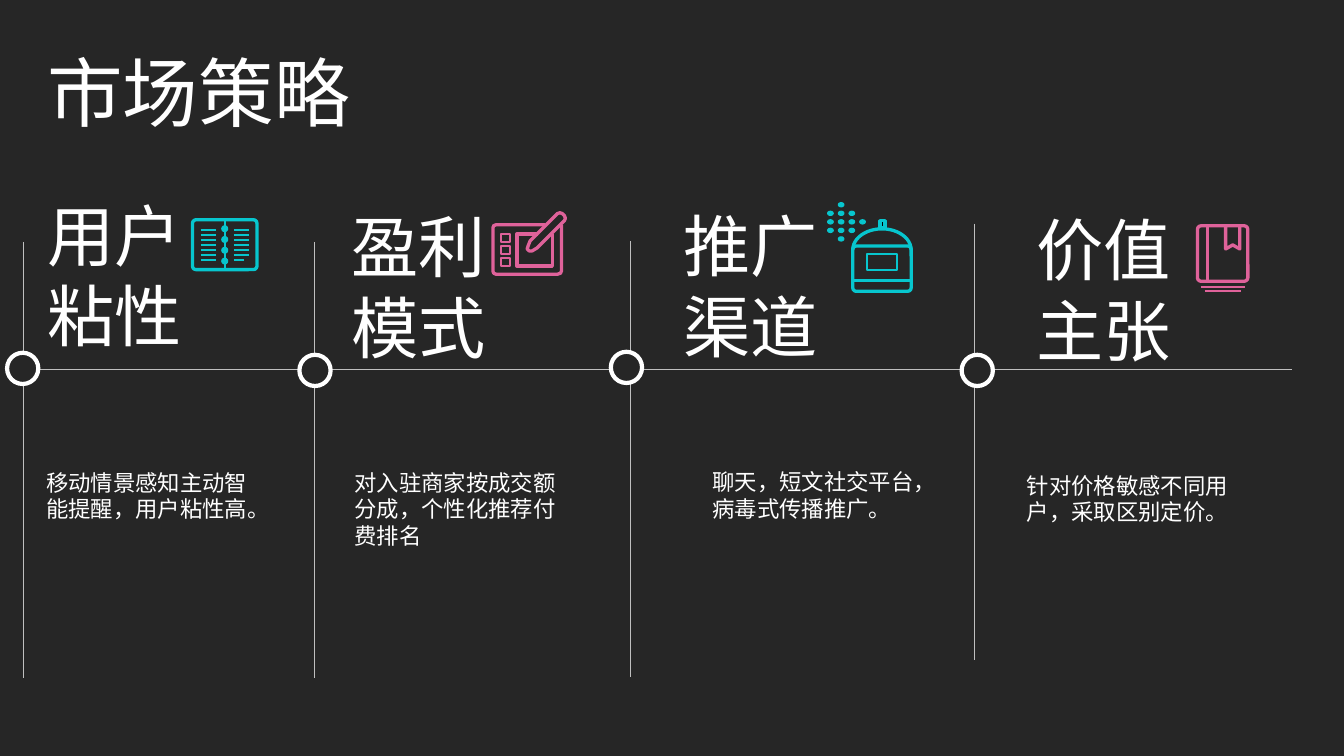
import math
from dataclasses import dataclass
from typing import Any

from lxml import etree
from pptx import Presentation
from pptx import util as u
from pptx.dml import color
from pptx.enum import shapes, text
from pptx.oxml import ns

COLORS = {
    "background": "262626",
    "white": "FFFFFF",
    "axis": "BFBFBF",
    "cyan": "07C6CE",
    "pink": "DF629A",
    "black": "000000",
}
HEADING_FONT = "Noto Sans CJK JP"
BODY_FONT = "Noto Sans CJK SC"
BOLD_LINE, FINE_LINE, DOT_LINE = 2.38, 1.13, 0.75
AXIS_LEFT, AXIS_RIGHT, AXIS_Y = 16.56, 923.04, 263.52
STEM_LENGTH = 311.4
MARKER_SIZE = 22.32

RECTANGLE = shapes.MSO_SHAPE.RECTANGLE
ROUNDED = shapes.MSO_SHAPE.ROUNDED_RECTANGLE
OVAL = shapes.MSO_SHAPE.OVAL


@dataclass
class Box:
    left: float
    top: float
    width: float
    height: float

    def lengths(self) -> tuple:
        return tuple(u.Pt(n) for n in (self.left, self.top, self.width, self.height))


@dataclass
class Strategy:
    heading: str
    body: str
    stem_x: float
    stem_top: float
    marker: tuple[float, float]
    heading_at: tuple[float, float]
    body_at: tuple[float, float]
    body_height: float


STRATEGIES = [
    Strategy("用户\n粘性", "移动情景感知主动智能提醒，用户粘性高。",
             16.56, 172.8, (5.04, 252), (26.64, 135.36), (25.92, 331.2), 65.52),
    Strategy("盈利\n模式", "对入驻商家按成交额分成，个性化推荐付费排名",
             224.64, 172.8, (213.84, 253.44), (244.08, 143.28), (246.24, 331.2), 84.96),
    Strategy("推广\n渠道", "聊天，短文社交平台，病毒式传播推广。",
             450, 172.08, (436.32, 251.28), (480.96, 142.56), (501.84, 331.2), 46.08),
    Strategy("价值\n主张", "针对价格敏感不同用户，采取区别定价。",
             696.24, 159.84, (686.88, 253.44), (732.96, 145.44), (726.48, 333.36), 65.52),
]


def rgb(name: str) -> color.RGBColor:
    return color.RGBColor.from_string(COLORS[name])


def style_shape(shape: Any, line: str, width: float, fill: str = "") -> None:
    shape.shadow.inherit = False
    if fill:
        shape.fill.solid()
        shape.fill.fore_color.rgb = rgb(fill)
    else:
        shape.fill.background()
    shape.line.color.rgb = rgb(line)
    shape.line.width = u.Pt(width)


def draw_shape(target: Any, kind: Any, box: Box, line: str, width: float,
               fill: str = "") -> None:
    shape = target.add_shape(kind, *box.lengths())
    if kind == ROUNDED:
        shape.adjustments[0] = 2.5 / min(box.width, box.height)
    style_shape(shape, line, width, fill)


def draw_line(target: Any, start: tuple, end: tuple, line: str, width: float) -> None:
    connector = target.add_connector(
        shapes.MSO_CONNECTOR.STRAIGHT, *(u.Pt(n) for n in (*start, *end)))
    connector.line.color.rgb = rgb(line)
    connector.line.width = u.Pt(width)
    etree.SubElement(connector._element.spPr, ns.qn("a:effectLst"))


def draw_outline(target: Any, points: list, line: str, close: bool = False) -> None:
    corners = [(u.Pt(x), u.Pt(y)) for x, y in points]
    builder = target.build_freeform(*corners[0])
    builder.add_line_segments(corners[1:], close=close)
    style_shape(builder.convert_to_shape(), line, BOLD_LINE)


def write_text(shape: Any, words: str, font: str, size: float, spacing: float,
               wrap: bool) -> None:
    frame = shape.text_frame
    frame.text = words
    frame.word_wrap = wrap
    frame.auto_size = text.MSO_AUTO_SIZE.NONE
    frame.vertical_anchor = text.MSO_ANCHOR.TOP
    for para in frame.paragraphs:
        para.alignment = text.PP_ALIGN.LEFT
        para.line_spacing = u.Pt(spacing)
        para.space_before = u.Pt(0)
        for span in para.runs:
            span.font.name = font
            span.font.size = u.Pt(size)
            span.font.color.rgb = rgb("white")
            east = etree.SubElement(span.font._element, ns.qn("a:ea"))
            east.set("typeface", font)


def draw_title(page: Any) -> None:
    title = page.shapes.title
    title.left, title.top, title.width, title.height = Box(26.64, 28.8, 232.56, 72.72).lengths()
    write_text(title, "市场策略", HEADING_FONT, 54, 65, False)


def draw_sprayer(target: Any) -> None:
    left, right, shoulder = 609.12, 650.88, 178.56
    radius = (right - left) / 2
    draw_shape(target, ROUNDED, Box(left, 175.68, right - left, 32.4), "cyan", BOLD_LINE)
    angles = [math.pi * step / 24 for step in range(25)]
    dome = [(left + radius - radius * math.cos(a), shoulder - 15.12 * math.sin(a))
            for a in angles]
    draw_outline(target, dome, "cyan")
    draw_shape(target, RECTANGLE, Box(628.56, 157.68, 3.6, 5.04), "cyan", BOLD_LINE, "black")
    draw_line(target, (left, 200.16), (right, 200.16), "cyan", BOLD_LINE)
    draw_shape(target, RECTANGLE, Box(619.2, 181.44, 21.6, 11.52), "cyan", FINE_LINE)
    for row, columns in enumerate([(1,), (0, 1, 2), (0, 1, 2, 3), (0, 1, 2), (1,)]):
        for column in columns:
            drop = Box(591.12 + 7.65 * column, 144.72 + 6.1 * row, 4.1, 3.1)
            draw_shape(target, OVAL, drop, "cyan", DOT_LINE, "cyan")


def draw_notebook(target: Any) -> None:
    for row in range(7):
        y = 164.16 + 3.6 * row
        for left in (143.28, 167.04):
            length = 7.2 if row == 6 and left > 160 else 10.8
            draw_line(target, (left, y), (left + length, y), "cyan", FINE_LINE)
    draw_line(target, (160.56, 156.96), (160.56, 192.96), "cyan", FINE_LINE)
    draw_shape(target, ROUNDED, Box(137.52, 156.96, 46.08, 35.64), "cyan", BOLD_LINE)
    for ring in range(4):
        draw_shape(target, OVAL, Box(158.4, 161.28 + 7.7 * ring, 4.32, 4.2),
                   "cyan", DOT_LINE, "cyan")


def draw_tablet(target: Any) -> None:
    frame = [(401.04, 160.56), (401.04, 193.7), (400.3, 195.2), (398.2, 195.84),
             (354.3, 195.84), (352.7, 195.2), (352.08, 193.7), (352.08, 162.7),
             (352.7, 161.2), (354.3, 160.56), (389.52, 160.56)]
    pen = [(383.76, 177.12), (380.16, 179.28), (378, 179.28), (376.56, 177.84),
           (377.28, 175.68), (378.72, 172.08), (398.16, 152.64), (400, 152),
           (401.76, 152.64), (403.2, 154.08), (403.9, 155.9), (403.2, 157.68)]
    screen = [(384.48, 167.04), (369.36, 167.04), (369.36, 190.08),
              (394.56, 190.08), (394.56, 167.04)]
    draw_outline(target, frame, "pink")
    draw_outline(target, pen, "pink", close=True)
    draw_outline(target, screen, "pink")
    for key in range(3):
        draw_shape(target, RECTANGLE, Box(357.84, 167.04 + 8.64 * key, 6.48, 5.76),
                   "pink", FINE_LINE)


def draw_book(target: Any) -> None:
    draw_shape(target, ROUNDED, Box(855.36, 161.28, 36, 39.6), "pink", BOLD_LINE)
    draw_line(target, (857.52, 205.2), (889.2, 205.2), "pink", FINE_LINE)
    draw_line(target, (860.4, 208.08), (886.32, 208.08), "pink", FINE_LINE)
    draw_line(target, (862.56, 161.28), (862.56, 200.88), "pink", BOLD_LINE)
    ribbon = [(885.6, 162), (885.6, 177.84), (880.56, 174.96), (875.52, 177.84), (875.52, 162)]
    draw_outline(target, ribbon, "pink")


def draw_strategy(page: Any, strategy: Strategy) -> None:
    x, top = strategy.stem_x, strategy.stem_top
    draw_line(page.shapes, (x, top), (x, top + STEM_LENGTH), "axis", 0.5)
    draw_shape(page.shapes, OVAL, Box(*strategy.marker, MARKER_SIZE, MARKER_SIZE),
               "white", 3, "background")
    heading = page.shapes.add_textbox(*Box(*strategy.heading_at, 111.6, 123.84).lengths())
    write_text(heading, strategy.heading, HEADING_FONT, 48, 57.5, False)
    body = page.shapes.add_textbox(
        *Box(*strategy.body_at, 166.32, strategy.body_height).lengths())
    write_text(body, strategy.body, BODY_FONT, 16, 19.2, True)


def main() -> None:
    deck = Presentation()
    deck.slide_width, deck.slide_height = u.Pt(960), u.Pt(540)
    page = deck.slides.add_slide(deck.slide_layouts[5])
    page.background.fill.solid()
    page.background.fill.fore_color.rgb = rgb("background")
    draw_title(page)
    draw_line(page.shapes, (AXIS_LEFT, AXIS_Y), (AXIS_RIGHT, AXIS_Y), "axis", 0.5)
    for strategy in STRATEGIES:
        draw_strategy(page, strategy)
    for draw_icon in (draw_sprayer, draw_notebook, draw_tablet, draw_book):
        draw_icon(page.shapes.add_group_shape().shapes)
    deck.save("out.pptx")


if __name__ == "__main__":
    main()
